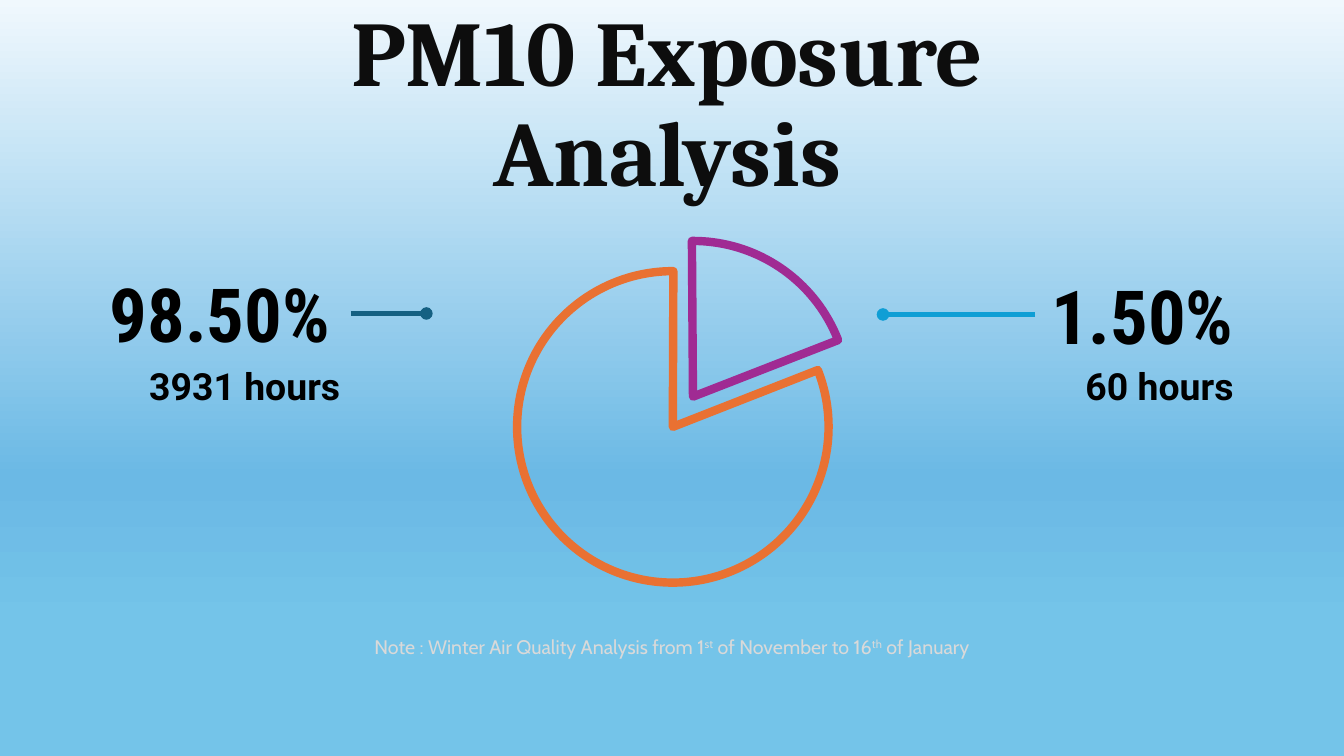
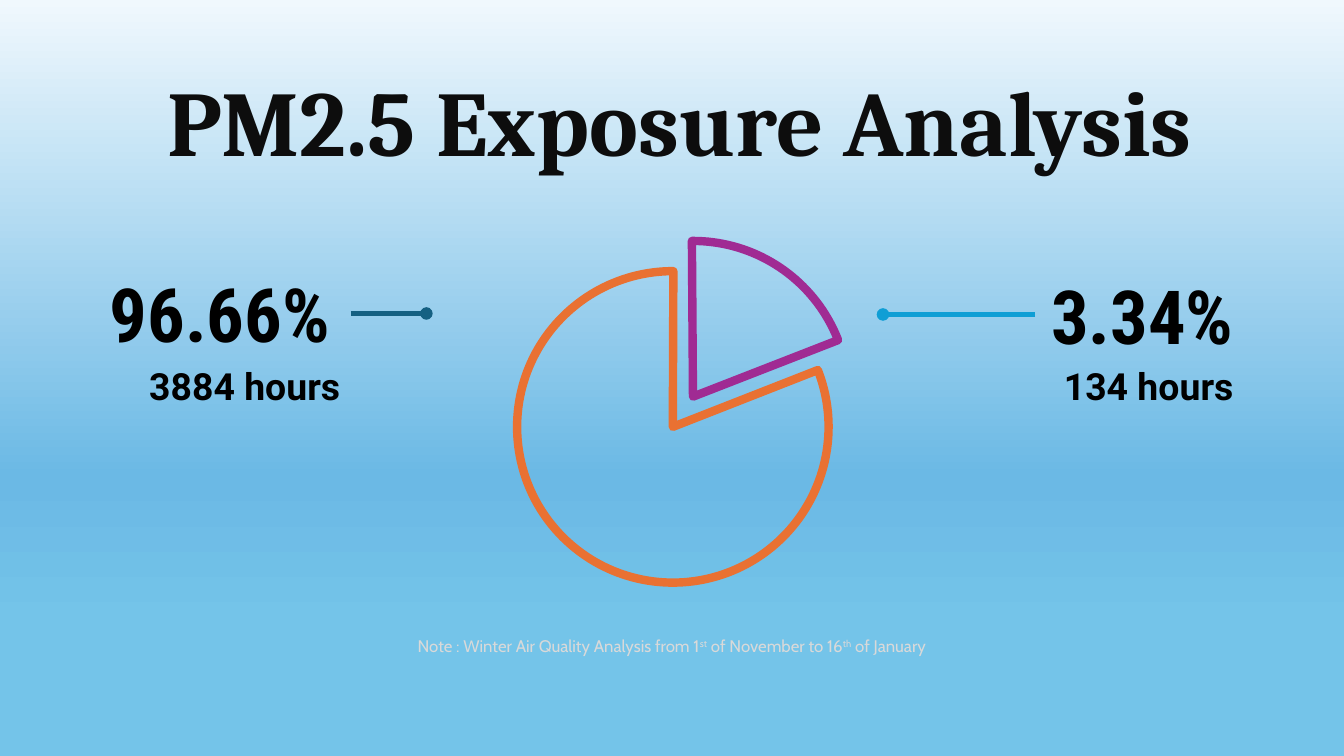
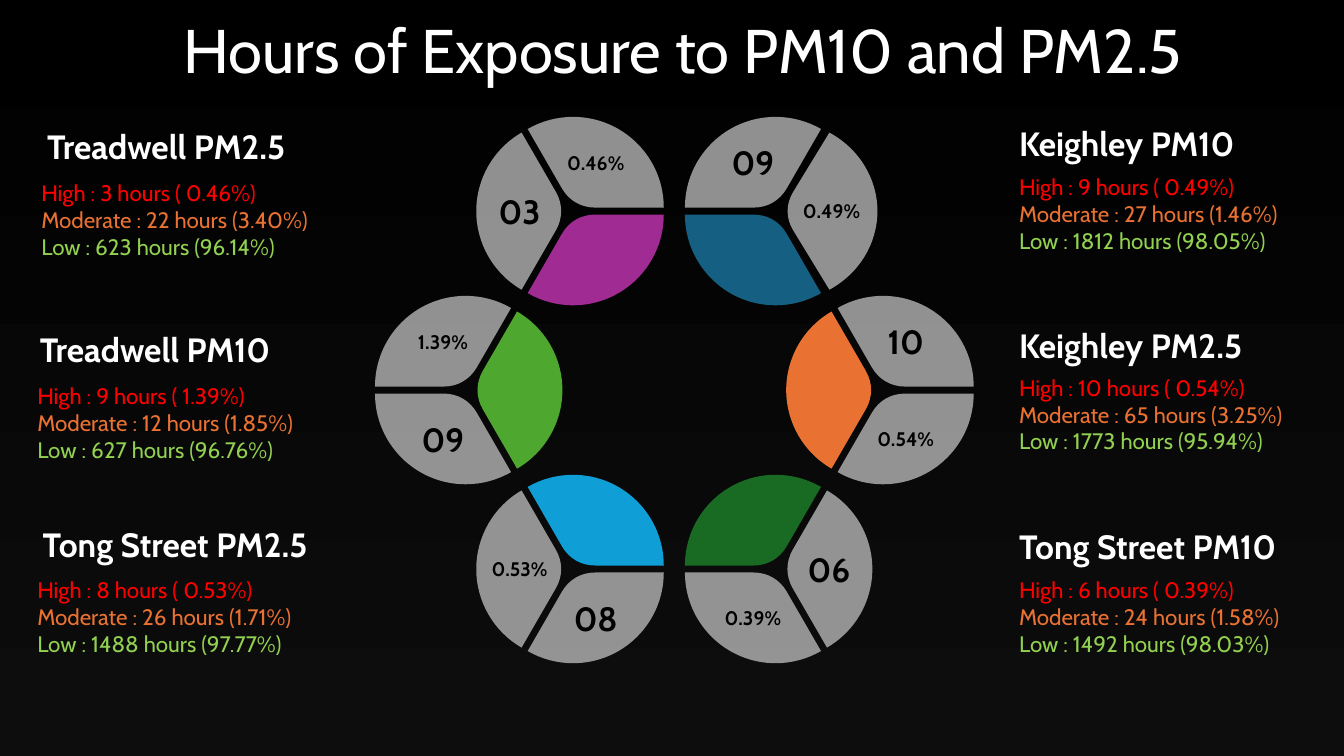
from math import cos, radians, sin, tan

from lxml.etree import SubElement
from pptx import Presentation
from pptx.dml.color import RGBColor
from pptx.enum.shapes import MSO_CONNECTOR, MSO_SHAPE
from pptx.enum.text import MSO_ANCHOR, PP_ALIGN
from pptx.oxml.ns import qn
from pptx.util import Pt

PX = 9144
WIDE, HIGH = 12192000, 6858000
HUES = {
    "ink": "0D0D0D", "black": "000000", "white": "FFFFFF", "note": "D9D9D9",
    "leaf": "E8E8E8", "orange": "E97132", "purple": "A02B93", "navy": "156082",
    "blue": "0F9ED5", "green": "196B24", "lime": "4EA72E",
    "high": "FF0000", "mid": "E97132", "low": "92D050",
}
SKY = [(0, "F0F8FD"), (63, "6BB9E5"), (83, "74C4E9"), (100, "74C4E9")]
NIGHT = [(0, "000000"), (100, "0D0D0D")]
NOTE = ["Note : Winter Air Quality Analysis from 1", "st", " of November to 16", "th",
        " of January"]
LEVELS = [("High : {} hours ( {}%)", "high"), ("Moderate : {} hours ({}%)", "mid"),
          ("Low : {} hours ({}%)", "low")]
LEFT, MID, RIGHT = PP_ALIGN.LEFT, PP_ALIGN.CENTER, PP_ALIGN.RIGHT
TOP, HALF, BASE = MSO_ANCHOR.TOP, MSO_ANCHOR.MIDDLE, MSO_ANCHOR.BOTTOM
HUB, RING, LEAF, GAP = (669, 387), 205, 90, 4
CUT, PULL = 22, 8

STUDIES = [
    ("PM10 Exposure Analysis", (192, 71, 940, 70), ("98.50%", "3931 hours"),
     ("1.50%", "60 hours"), 14, 622),
    ("PM2.5 Exposure Analysis", (140, 91, 1068, 70), ("96.66%", "3884 hours"),
     ("3.34%", "134 hours"), 12, 624),
]
SITES = [
    ("Keighley PM2.5", "orange", [(10, "0.54"), (65, "3.25"), (1773, "95.94")],
     (1011, 317), (1011, 366), LEFT, 0),
    ("Tong Street PM10", "green", [(6, "0.39"), (24, "1.58"), (1492, "98.03")],
     (1011, 517), (1011, 567), LEFT, 0),
    ("Tong Street PM2.5", "blue", [(8, "0.53"), (26, "1.71"), (1488, "97.77")],
     (37, 515), (37, 567), RIGHT, 0),
    ("Treadwell PM10", "lime", [(9, "1.39"), (12, "1.85"), (627, "96.76")],
     (0, 321), (37, 374), RIGHT, 0),
    ("Treadwell PM2.5", "purple", [(3, "0.46"), (22, "3.40"), (623, "96.14")],
     (15, 120), (41, 173), RIGHT, 0),
    ("Keighley PM10", "navy", [(9, "0.49"), (27, "1.46"), (1812, "98.05")],
     (1011, 117), (1011, 167), LEFT, 5),
]


def tint(name):
    return RGBColor.from_string(HUES[name])


def scale(*sizes):
    return [size * PX for size in sizes]


def paint(slide, stops):
    fill = slide.background.fill
    fill.gradient()
    fill.gradient_angle = 270
    ramp = slide.element.find(".//" + qn("a:gsLst"))
    for old in list(ramp):
        ramp.remove(old)
    for place, hue in stops:
        stop = SubElement(ramp, qn("a:gs"), pos=str(place * 1000))
        SubElement(stop, qn("a:srgbClr"), val=hue)


def write(shape, rows, size, face="Cabin", bold=False, align=LEFT,
          anchor=HALF, pad=(10, 5), lead=None):
    frame = shape.text_frame
    frame.word_wrap = True
    frame.vertical_anchor = anchor
    frame.margin_left = frame.margin_right = pad[0] * PX
    frame.margin_top = frame.margin_bottom = pad[1] * PX
    for index, (parts, hue) in enumerate(rows):
        para = frame.add_paragraph() if index else frame.paragraphs[0]
        para.alignment = align
        para.line_spacing = lead
        font = para.font
        font.name, font.size, font.bold = face, Pt(size), bold
        font.color.rgb = tint(hue)
        for part in parts:
            para.add_run().text = part


def label(slide, area, parts, hue, size, **style):
    box = slide.shapes.add_textbox(*scale(*area))
    write(box, [(parts, hue)], size, **style)
    return box


def footnote(slide, y, size):
    box = label(slide, (96, y, 1141, 55), NOTE, "note", size, align=MID, anchor=TOP,
                pad=(13, 13), lead=0.9)
    for run in list(box.element.iter(qn("a:r")))[1::2]:
        run.get_or_add_rPr().set("baseline", "30000")


def pie(slide, area, hue, start, end):
    shape = slide.shapes.add_shape(MSO_SHAPE.PIE, *scale(*area))
    shape.shadow.inherit = False
    shape.adjustments[0] = start * 0.6
    shape.adjustments[1] = end * 0.6
    shape.fill.background()
    shape.line.color.rgb = tint(hue)
    shape.line.width = Pt(6)


def lead_line(slide, start, end, y, hue):
    line = slide.shapes.add_connector(MSO_CONNECTOR.STRAIGHT, *scale(start, y, end, y))
    line.line.color.rgb = tint(hue)
    line.line.width = Pt(3)
    SubElement(line.element.find(".//" + qn("a:ln")), qn("a:tailEnd"), type="oval")
    SubElement(line.element.spPr, qn("a:effectLst"))


def polar(hub, reach, angle):
    turn = radians(angle)
    return hub[0] + reach * cos(turn), hub[1] + reach * sin(turn)


def arc(hub, start, end):
    pull = LEAF * 4 / 3 * tan(radians(end - start) / 4)
    first, last = polar(hub, LEAF, start), polar(hub, LEAF, end)
    return [polar(first, pull, start + 90), polar(last, pull, end - 90), last]


def bend(shape, starts):
    track = shape.element.find(".//" + qn("a:path"))
    steps = track.findall(qn("a:lnTo"))
    for start in starts:
        head = steps[start]
        head.tag = qn("a:cubicBezTo")
        for step in steps[start + 1:start + 3]:
            head.append(step[0])
            track.remove(step)


def petal(slide, hub, axis, hue):
    tip = polar(hub, GAP, axis)
    start, end = axis - 60, axis + 60
    peak = round(axis / 90) * 90
    dots = [polar(tip, LEAF, start), *arc(tip, start, peak), *arc(tip, peak, end),
            polar(tip, CUT, end), polar(tip, PULL, end),
            polar(tip, PULL, start), polar(tip, CUT, start)]
    spots = [scale(*dot) for dot in dots]
    form = slide.shapes.build_freeform(*spots[0], scale=1.0)
    form.add_line_segments(spots[1:], close=True)
    shape = form.convert_to_shape()
    bend(shape, (0, 3, 7))
    shape.shadow.inherit = False
    shape.fill.solid()
    shape.fill.fore_color.rgb = tint(hue)
    shape.line.fill.background()
    return shape


def tag(slide, hub, axis, words, size, extra=0):
    shape = petal(slide, hub, axis, "leaf")
    shape.width += extra * PX
    SubElement(shape.element.spPr.find(".//" + qn("a:srgbClr")), qn("a:alpha"), val="62000")
    write(shape, [([words], "black")], size, bold=True, align=MID)


def wheel(slide, angle, hue, count, share, extra):
    hub = polar(HUB, RING, angle)
    tag(slide, hub, angle + 60, share + "%", 14, extra)
    tag(slide, hub, angle - 60, f"{count:02}", 24)
    petal(slide, hub, angle + 180, hue)


def study(slide, title, area, most, rest, size, y):
    paint(slide, SKY)
    pad = (13, 13)
    big = dict(face="Roboto Condensed", bold=True, pad=pad)
    small = dict(face="Roboto", bold=True, pad=pad)
    label(slide, area, [title], "ink", 66, face="Cambria", bold=True, align=MID,
          pad=pad, lead=0.9)
    pie(slide, (513, 269, 309, 309), "orange", 338.6, 270.2)
    label(slide, (96, 275, 252, 70), [most[0]], "black", 53.3, **big)
    label(slide, (1027, 277, 210, 70), [rest[0]], "black", 53.3, align=RIGHT, **big)
    lead_line(slide, 348, 423, 311, "navy")
    lead_line(slide, 1027, 876, 312, "blue")
    label(slide, (96, 349, 294, 67), [most[1]], "black", 26.7, align=MID, **small)
    label(slide, (943, 349, 294, 67), [rest[1]], "black", 26.7, align=RIGHT, **small)
    pie(slide, (533, 239, 309, 309), "purple", 269.6, 338.7)
    footnote(slide, y, size)


def hours(slide):
    paint(slide, NIGHT)
    label(slide, (172, 0, 1150, 106), ["Hours of Exposure to PM10 and PM2.5"],
          "white", 44, lead=0.9)
    for index, (name, hue, counts, head, body, align, extra) in enumerate(SITES):
        wheel(slide, index * 60, hue, *counts[0], extra)
        label(slide, (*head, 268, 50), [name], "white", 24, bold=True, align=align,
              anchor=BASE, pad=(0, 5))
        rows = [([form.format(*count)], tone) for (form, tone), count in zip(LEVELS, counts)]
        box = slide.shapes.add_textbox(*scale(*body, 285, 95))
        write(box, rows, 16, anchor=TOP, pad=(0, 5))


def main():
    deck = Presentation()
    deck.slide_width, deck.slide_height = WIDE, HIGH
    blank = deck.slide_layouts[6]
    for facts in STUDIES:
        study(deck.slides.add_slide(blank), *facts)
    hours(deck.slides.add_slide(blank))
    deck.save("out.pptx")


if __name__ == "__main__":
    main()
